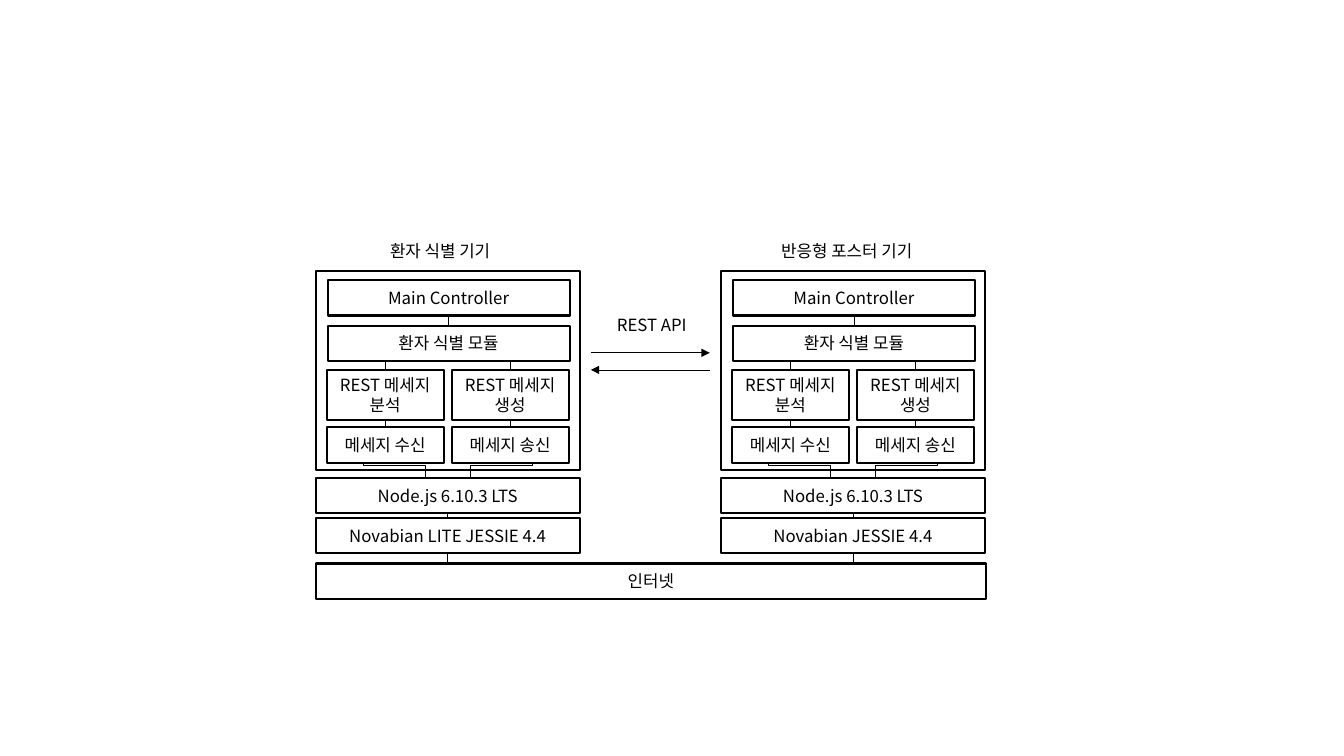
from pptx import Presentation
from pptx.dml.color import RGBColor
from pptx.enum.shapes import MSO_CONNECTOR, MSO_SHAPE
from pptx.enum.text import MSO_ANCHOR, MSO_AUTO_SIZE, PP_ALIGN
from pptx.oxml.ns import qn
from pptx.util import Inches, Pt
from lxml import etree

RECTANGLE = MSO_SHAPE.RECTANGLE
STRAIGHT, ELBOW = MSO_CONNECTOR.STRAIGHT, MSO_CONNECTOR.ELBOW
CENTER, LEFT = PP_ALIGN.CENTER, PP_ALIGN.LEFT
MIDDLE = MSO_ANCHOR.MIDDLE
FIT_SHAPE = MSO_AUTO_SIZE.SHAPE_TO_FIT_TEXT
TOP, BOTTOM = 0, 2
COLORS = {"ink": "000000", "paper": "FFFFFF"}
FONT = "Noto Sans CJK KR"
BAR_HEIGHT = 0.35
STACK_WIDTH = 2.62
INTERNET_TOP = 5.59


class Diagram:
    """Draws boxes, labels and links in one style on the current slide."""

    def __init__(self, slide):
        self.slide = slide
        self.ink = RGBColor.from_string(COLORS["ink"])
        self.paper = RGBColor.from_string(COLORS["paper"])

    def add_lines(self, frame, lines, alignment):
        for index, line in enumerate(lines):
            paragraph = frame.paragraphs[0] if index == 0 else frame.add_paragraph()
            paragraph.alignment = alignment
            run = paragraph.add_run()
            run.text = line
            run.font.size = Pt(12)
            run.font.name = FONT
            run.font.color.rgb = self.ink
            east_asian = etree.SubElement(run.font._element, qn("a:ea"))
            east_asian.set("typeface", FONT)

    def box(self, left, top, width, height, *lines):
        shape = self.slide.shapes.add_shape(
            RECTANGLE, Inches(left), Inches(top), Inches(width), Inches(height))
        shape.shadow.inherit = False
        shape.fill.solid()
        shape.fill.fore_color.rgb = self.paper
        shape.line.color.rgb = self.ink
        shape.line.width = Pt(1.5)
        frame = shape.text_frame
        frame.word_wrap = True
        frame.vertical_anchor = MIDDLE
        frame.margin_left = frame.margin_right = Inches(0.05)
        self.add_lines(frame, lines, CENTER)
        return shape

    def label(self, left, top, width, text, alignment, wrap):
        shape = self.slide.shapes.add_textbox(
            Inches(left), Inches(top), Inches(width), Inches(0.3))
        shape.text_frame.word_wrap = wrap
        shape.text_frame.auto_size = FIT_SHAPE
        self.add_lines(shape.text_frame, [text], alignment)

    def link(self, start, end, upper=None, lower=None, kind=STRAIGHT):
        connector = self.slide.shapes.add_connector(
            kind, *(Inches(value) for value in (*start, *end)))
        connector.line.color.rgb = self.ink
        connector.line.width = Pt(0.5)
        etree.SubElement(connector._element.spPr, qn("a:effectLst"))
        if upper is not None:
            connector.begin_connect(upper, BOTTOM)
        if lower is not None:
            connector.end_connect(lower, TOP)
        return connector

    def arrow(self, start, end):
        connector = self.link(start, end)
        outline = connector._element.spPr.find(qn("a:ln"))
        etree.SubElement(outline, qn("a:tailEnd")).set("type", "triangle")

    def bent(self, start, end):
        middle_x, middle_y = (start[0] + end[0]) / 2, (start[1] + end[1]) / 2
        half_width = abs(start[1] - end[1]) / 2
        half_height = abs(start[0] - end[0]) / 2
        side = 1 if end[0] > start[0] else -1
        connector = self.link(
            (middle_x + side * half_width, middle_y + half_height),
            (middle_x - side * half_width, middle_y - half_height), kind=ELBOW)
        properties = connector._element.spPr
        properties.find(qn("a:xfrm")).set("rot", str(side * 90 % 360 * 60000))
        adjustments = properties.find(qn("a:prstGeom")).find(qn("a:avLst"))
        guide = etree.SubElement(adjustments, qn("a:gd"))
        guide.set("name", "adj1")
        guide.set("fmla", "val 74800")

    def device(self, left, system, caption, caption_left, caption_width):
        center = left + STACK_WIDTH / 2
        system_box = self.box(left, 5.14, STACK_WIDTH, BAR_HEIGHT, system)
        node_box = self.box(left, 4.74, STACK_WIDTH, BAR_HEIGHT, "Node.js 6.10.3 LTS")
        self.box(left, 2.69, STACK_WIDTH, 1.97)
        module = self.box(left + 0.12, 3.23, 2.4, BAR_HEIGHT, "환자 식별 모듈")
        controller = self.box(left + 0.12, 2.78, 2.4, BAR_HEIGHT, "Main Controller")
        columns = [(0.11, "분석", "메세지 수신", 1.09, 0.47),
                   (1.35, "생성", "메세지 송신", 1.53, 2.15)]
        for offset, action, transfer, node_offset, transfer_offset in columns:
            column_left = left + offset
            column_center = column_left + 0.58
            rest = self.box(column_left, 3.67, 1.16, 0.5, "REST 메세지", action)
            message = self.box(column_left, 4.24, 1.16, BAR_HEIGHT, transfer)
            self.link((column_center, 3.58), (column_center, 3.67), lower=rest)
            self.link((column_center, 4.17), (column_center, 4.24), rest, message)
            self.bent((left + node_offset, 4.74), (left + transfer_offset, 4.58))
        self.link((center, 3.13), (center, 3.23), controller, module)
        self.link((center, 5.09), (center, 5.14), node_box, system_box)
        self.link((center, 5.49), (center, INTERNET_TOP), system_box)
        self.label(caption_left, 2.34, caption_width, caption, LEFT, False)


def main():
    presentation = Presentation()
    presentation.slide_width = Inches(13.33)
    presentation.slide_height = Inches(7.5)
    slide = presentation.slides.add_slide(presentation.slide_layouts[6])
    diagram = Diagram(slide)
    diagram.box(3.13, INTERNET_TOP, 6.65, BAR_HEIGHT, "인터넷")
    diagram.device(3.13, "Novabian LITE JESSIE 4.4", "환자 식별 기기", 3.77, 1.33)
    diagram.device(7.15, "Novabian JESSIE 4.4", "반응형 포스터 기기", 7.65, 1.67)
    diagram.label(5.87, 3.07, 1.19, "REST API", CENTER, True)
    diagram.arrow((5.86, 3.5), (7.04, 3.5))
    diagram.arrow((7.04, 3.67), (5.86, 3.67))
    presentation.save("out.pptx")


if __name__ == "__main__":
    main()
